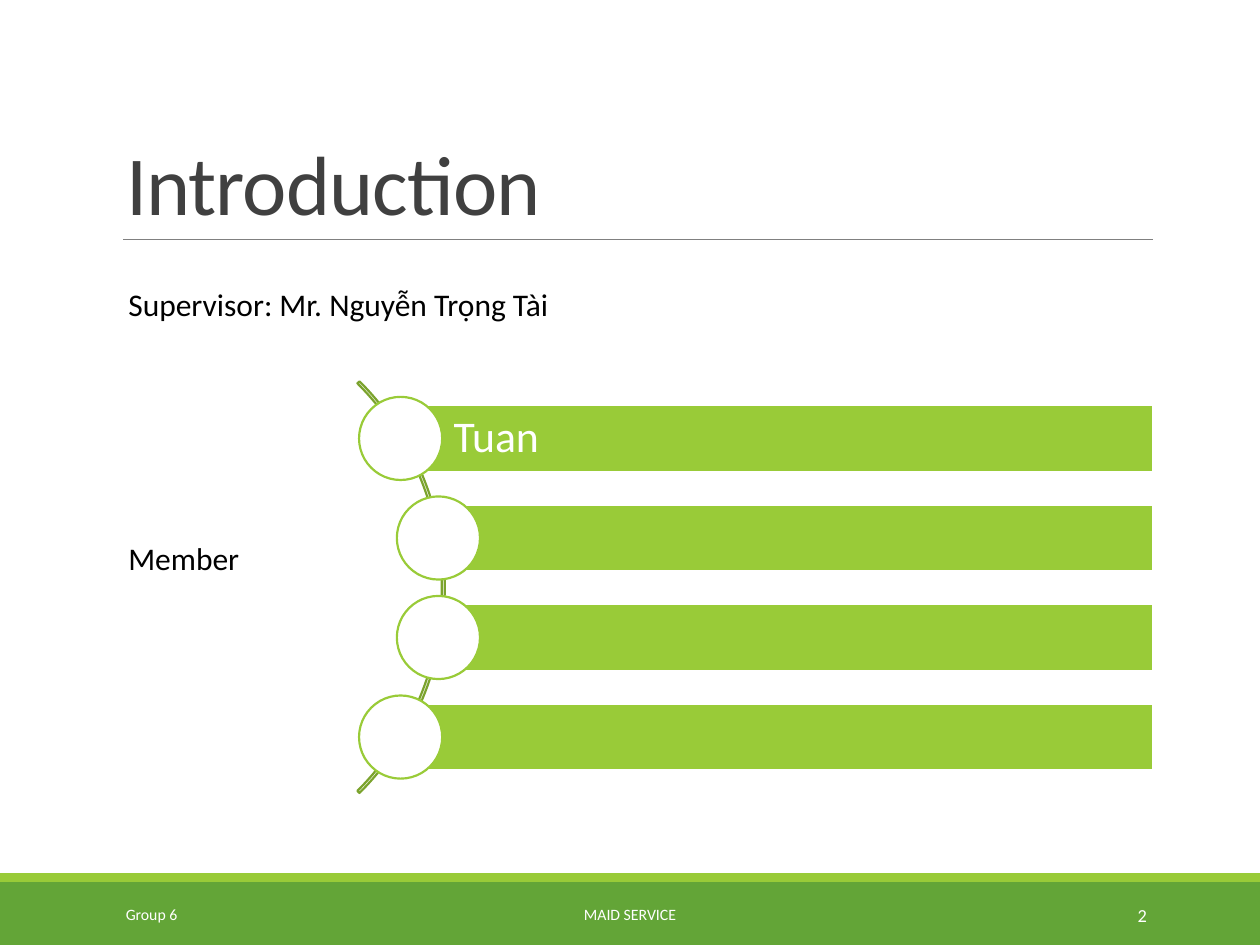
from lxml import etree
from pptx import Presentation
from pptx.dml.color import RGBColor
from pptx.enum.shapes import MSO_CONNECTOR, MSO_SHAPE
from pptx.enum.text import MSO_ANCHOR, MSO_AUTO_SIZE, PP_ALIGN
from pptx.oxml.ns import qn
from pptx.util import Inches, Pt

RECT, OVAL, ARC = MSO_SHAPE.RECTANGLE, MSO_SHAPE.OVAL, MSO_SHAPE.BLOCK_ARC
LEFT, CENTER, RIGHT = PP_ALIGN.LEFT, PP_ALIGN.CENTER, PP_ALIGN.RIGHT
TOP, MIDDLE, BOTTOM = MSO_ANCHOR.TOP, MSO_ANCHOR.MIDDLE, MSO_ANCHOR.BOTTOM

FONT = "Calibri"
COLORS = {"green": "63A537", "lime": "99CB38", "olive": "7BA32D", "white": "FFFFFF",
          "black": "000000", "dark": "404040", "gray": "808080"}

TITLE = "Introduction"
LABELS = [("Supervisor: Mr. Nguyễn Trọng Tài", (0.92, 2.21, 3.58, 0.4)),
          ("Member", (0.92, 4.23, 1.09, 0.4))]
MEMBERS = [("Tuan", 3.18), ("", 3.48), ("", 3.48), ("", 3.18)]
FOOTER = [("Group 6", (0.9, 7.06, 2.03, 0.4), LEFT, 9),
          ("MAID SERVICE", (3.02, 7.06, 3.96, 0.4), CENTER, 9),
          ("2", (8.12, 7.06, 1.08, 0.4), RIGHT, 10.5)]
BANDS = [("green", (0, 7, 10, 0.5)), ("lime", (0, 6.93, 10, 0.07))]

RIGHT_EDGE = 9.15
FIRST_MIDDLE, PITCH = 3.48, 0.79
BAR_HEIGHT, CIRCLE = 0.53, 0.66


def rgb(name):
    return RGBColor.from_string(COLORS[name])


def add_shape(s, kind, box, fill=None, line=None):
    sp = s.shapes.add_shape(kind, *map(Inches, box))
    sp.shadow.inherit = False
    if fill:
        sp.fill.solid()
        sp.fill.fore_color.rgb = rgb(fill)
    else:
        sp.fill.background()
    if line:
        sp.line.color.rgb = rgb(line)
        sp.line.width = Pt(1.25)
    else:
        sp.line.fill.background()
    return sp


def add_rule(s, x1, x2, y):
    line = s.shapes.add_connector(MSO_CONNECTOR.STRAIGHT, *map(Inches, (x1, y, x2, y)))
    line.line.color.rgb = rgb("gray")
    line.line.width = Pt(0.5)
    etree.SubElement(line._element.spPr, qn("a:effectLst"))


def set_text(sp, text, size=18, color="black", align=LEFT, anchor=TOP,
             wrap=True, spacing=None, tracking=None, inset=0.1):
    tf = sp.text_frame
    tf.word_wrap = wrap
    tf.auto_size = MSO_AUTO_SIZE.NONE if wrap else MSO_AUTO_SIZE.SHAPE_TO_FIT_TEXT
    tf.vertical_anchor = anchor
    tf.margin_left = Inches(inset)
    p = tf.paragraphs[0]
    p.alignment = align
    p.line_spacing = spacing
    r = p.add_run()
    r.text = text
    r.font.name, r.font.size = FONT, Pt(size)
    r.font.color.rgb = rgb(color)
    if tracking is not None:
        r._r.get_or_add_rPr().set("spc", str(int(tracking * 100)))


def add_members(s):
    arc = add_shape(s, ARC, (-1.09, 2.35, 4.62, 4.62), line="olive")
    for i, value in enumerate((189, 27, 0.005)):
        arc.adjustments[i] = value
    for i, (name, x) in enumerate(MEMBERS):
        y = FIRST_MIDDLE + i * PITCH
        bar = add_shape(s, RECT, (x, y - BAR_HEIGHT / 2, RIGHT_EDGE - x, BAR_HEIGHT),
                        "lime", "white")
        if name:
            set_text(bar, name, size=25, color="white", anchor=MIDDLE, spacing=0.9, inset=0.42)
        add_shape(s, OVAL, (x - CIRCLE / 2, y - CIRCLE / 2, CIRCLE, CIRCLE), "white", "lime")


def main():
    """Build the introduction slide with its supervisor and member list."""
    prs = Presentation()
    prs.slide_width, prs.slide_height = Inches(10), Inches(7.5)
    s = prs.slides.add_slide(prs.slide_layouts[5])

    for fill, box in BANDS:
        add_shape(s, RECT, box, fill)
    add_rule(s, 0.98, RIGHT_EDGE, 1.9)

    title = s.shapes.title
    title.left, title.top, title.width, title.height = map(Inches, (0.9, 0.31, 8.25, 1.59))
    set_text(title, TITLE, size=48, color="dark", anchor=BOTTOM, spacing=0.85, tracking=-0.5)

    add_members(s)
    for text, box, align, size in FOOTER:
        set_text(s.shapes.add_textbox(*map(Inches, box)), text, size=size,
                 color="white", align=align, anchor=MIDDLE)
    for text, box in LABELS:
        set_text(s.shapes.add_textbox(*map(Inches, box)), text, wrap=False)

    prs.save("out.pptx")


if __name__ == "__main__":
    main()
